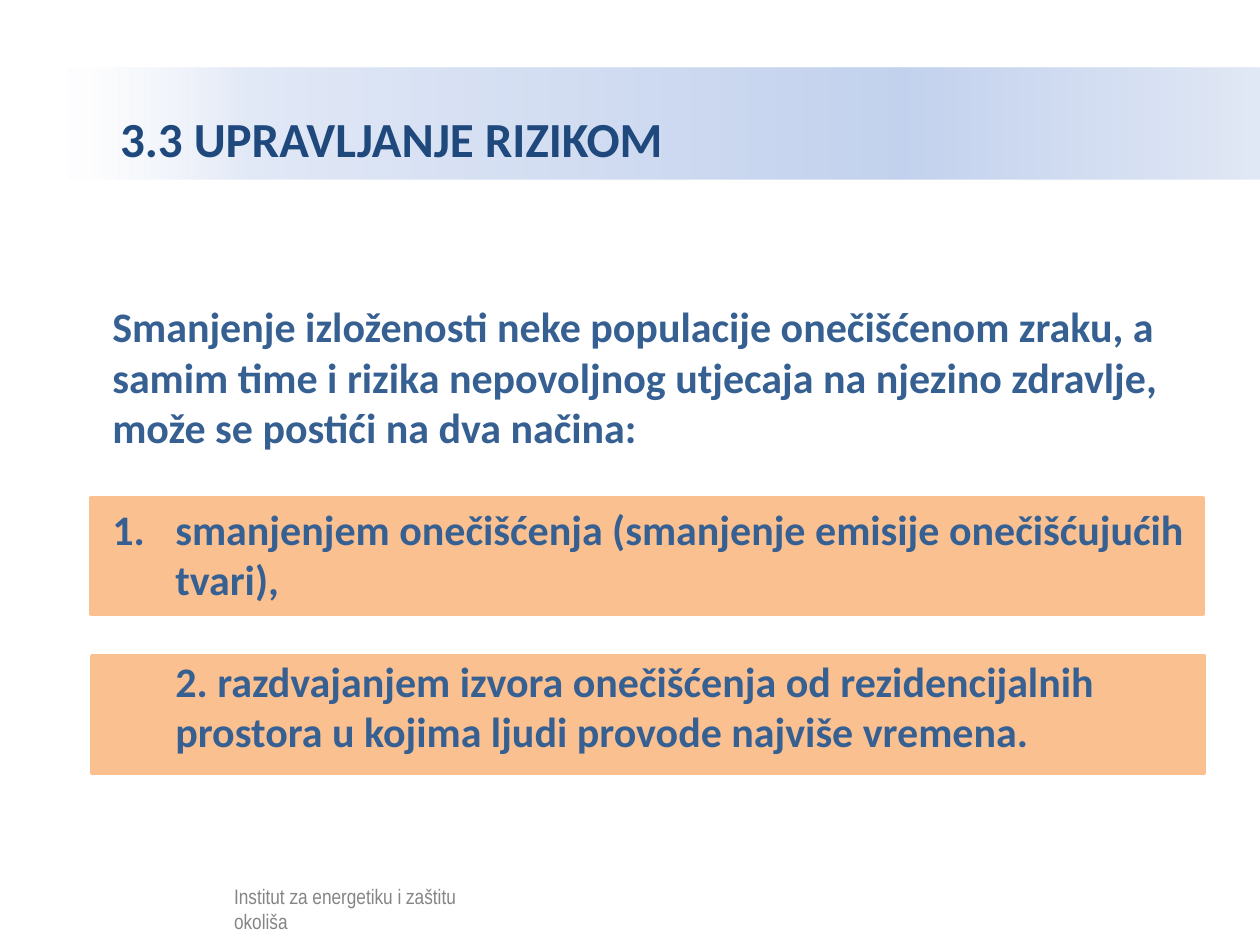
import pptx
import pptx.util
import pptx.dml.color
import pptx.enum.shapes
import pptx.enum.text
import pptx.oxml
import pptx.oxml.ns

Cm, Pt = pptx.util.Cm, pptx.util.Pt
TEXT = pptx.enum.text

TITLE = "3.3 UPRAVLJANJE RIZIKOM"
FOOTER = "Institut za energetiku i zaštitu okoliša"
# text, left margin and first-line indent in cm, numbered, space before in points
BODY = [
    ("Smanjenje izloženosti neke populacije onečišćenom zraku, a samim time i rizika "
     "nepovoljnog utjecaja na njezino zdravlje, može se postići na dva načina:",
     0, 0, False, 0),
    ("smanjenjem onečišćenja (smanjenje emisije onečišćujućih tvari),",
     1.27, -1.27, True, 29.3),
    ("2. razdvajanjem izvora onečišćenja od rezidencijalnih prostora u kojima ljudi "
     "provode najviše vremena.", 1.27, 0, False, 29.3),
]
# left, top, width, height in cm
BARS = [(1.85, 13.23, 22.43, 2.36), (1.83, 10.03, 22.43, 2.36)]
TITLE_AREA = (1.27, 1.37, 24.13, 2.24)
BODY_AREA = (2.01, 5.94, 22.17, 10.52)
FOOTER_AREA = (4.47, 17.68, 5.31, 1.23)
VEIL_AREA = (1.04, 17.6, 9.7, 1.22)
# position in percent, colour, opacity in percent
TITLE_STOPS = [(0, "FFFFFF", 52), (16, "E1E8F6", 100),
               (70, "C2D1ED", 100), (100, "E1E8F5", 100)]


def color(value):
    """Turn a hex string into a colour."""
    return pptx.dml.color.RGBColor.from_string(value)


def element(xml):
    """Parse a drawing element written with the a: prefix."""
    head, mark, rest = xml.partition(" " if " " in xml.split(">")[0] else "/")
    return pptx.oxml.parse_xml(f"{head} {pptx.oxml.ns.nsdecls('a')}{mark}{rest}")


def place(shape, area):
    """Move and size a shape."""
    shape.left, shape.top, shape.width, shape.height = map(Cm, area)


def set_font(para, name, size, value, bold):
    """Format a whole paragraph."""
    para.font.name, para.font.size, para.font.bold = name, Pt(size), bold
    para.font.color.rgb = color(value)


def add_rectangle(page, area, value):
    """Add a flat filled rectangle."""
    box = page.shapes.add_shape(pptx.enum.shapes.MSO_SHAPE.RECTANGLE, *map(Cm, area))
    box.shadow.inherit = False
    box.fill.solid()
    box.fill.fore_color.rgb = color(value)
    return box


def fill_gradient(shape, stops):
    """Fill a shape from left to right through the given stops."""
    shape.fill.gradient()
    shape.fill.gradient_angle = 0
    stop_list = shape.fill.gradient_stops
    parent = shape.element.spPr.find(".//" + pptx.oxml.ns.qn("a:gsLst"))
    for child in list(parent):
        parent.remove(child)
    for position, value, opacity in stops:
        parent.append(element(
            f'<a:gs pos="{position * 1000}"><a:srgbClr val="{value}">'
            f'<a:alpha val="{opacity * 1000}"/></a:srgbClr></a:gs>'))


deck = pptx.Presentation()
deck.slide_width, deck.slide_height = Cm(25.4), Cm(19.05)
page = deck.slides.add_slide(deck.slide_layouts[1])
title, body = page.placeholders

for order, area in enumerate(BARS):
    bar = add_rectangle(page, area, "FAC090")
    bar.line.color.rgb = color("FAC090")
    bar.line.width = Pt(2)
    page.shapes.element.insert(2 + order, bar.element)

place(title, TITLE_AREA)
fill_gradient(title, TITLE_STOPS)
title.text_frame.text = TITLE
title.text_frame.auto_size = TEXT.MSO_AUTO_SIZE.NONE
title.text_frame.vertical_anchor = TEXT.MSO_ANCHOR.MIDDLE
title.text_frame.margin_left = Cm(1.15)
heading = title.text_frame.paragraphs[0]
heading.alignment = TEXT.PP_ALIGN.LEFT
heading.line_spacing = 1.5
set_font(heading, "Calibri", 28, "1F497D", True)

place(body, BODY_AREA)
body.text_frame.auto_size = TEXT.MSO_AUTO_SIZE.NONE
body.text_frame.text = "\n".join(item[0] for item in BODY)
for para, (_, margin, indent, numbered, gap) in zip(body.text_frame.paragraphs, BODY):
    para.space_before = Pt(gap)
    set_font(para, "Calibri", 24, "376092", True)
    properties = para._p.get_or_add_pPr()
    properties.set("marL", str(Cm(margin)))
    properties.set("indent", str(Cm(indent)))
    bullet = '<a:buAutoNum type="arabicPeriod"/>' if numbered else "<a:buNone/>"
    properties.insert_element_before(element(bullet), "a:tabLst", "a:defRPr", "a:extLst")

footer = page.shapes.add_textbox(*map(Cm, FOOTER_AREA))
footer.text_frame.word_wrap = True
footer.text_frame.text = FOOTER
set_font(footer.text_frame.paragraphs[0], "Arial Narrow", 12, "000000", False)

veil = add_rectangle(page, VEIL_AREA, "FFFFFF")
veil.line.fill.background()
veil_color = veil.element.spPr.find(".//" + pptx.oxml.ns.qn("a:srgbClr"))
veil_color.append(element('<a:alpha val="52000"/>'))

deck.save("out.pptx")
